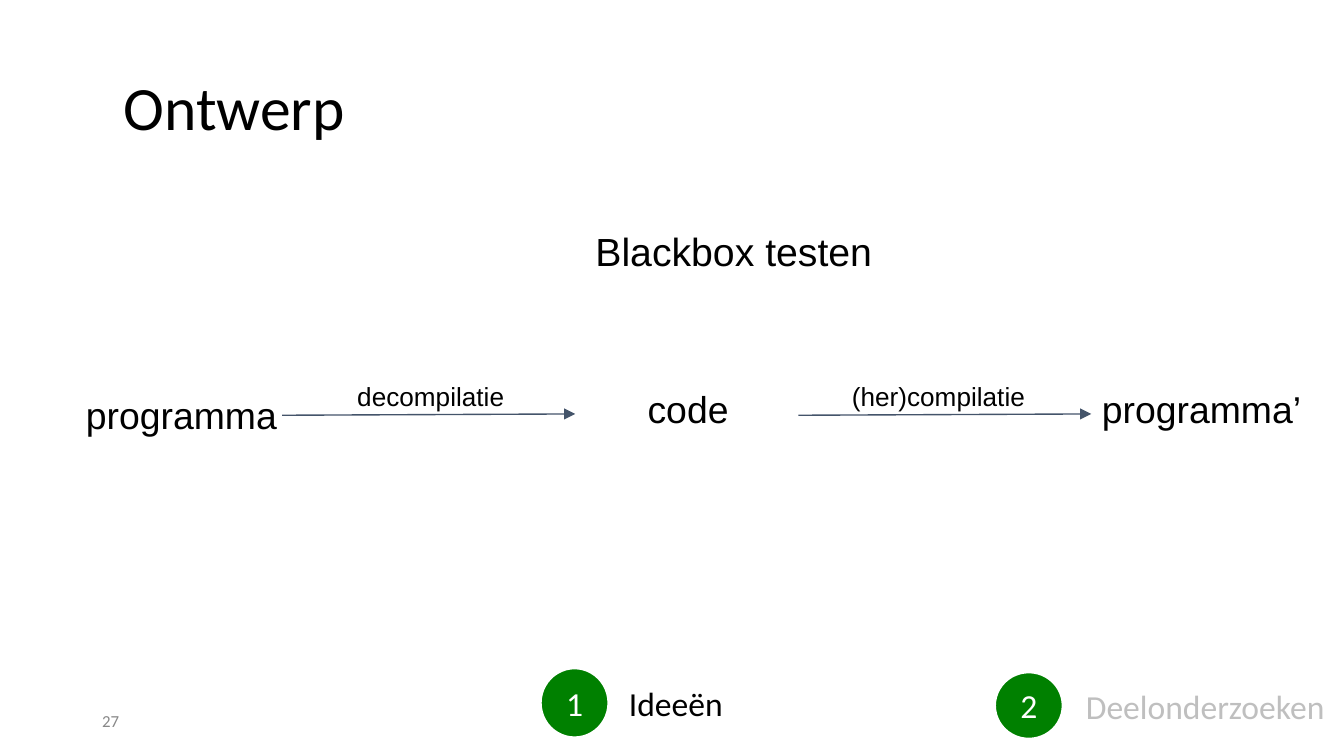
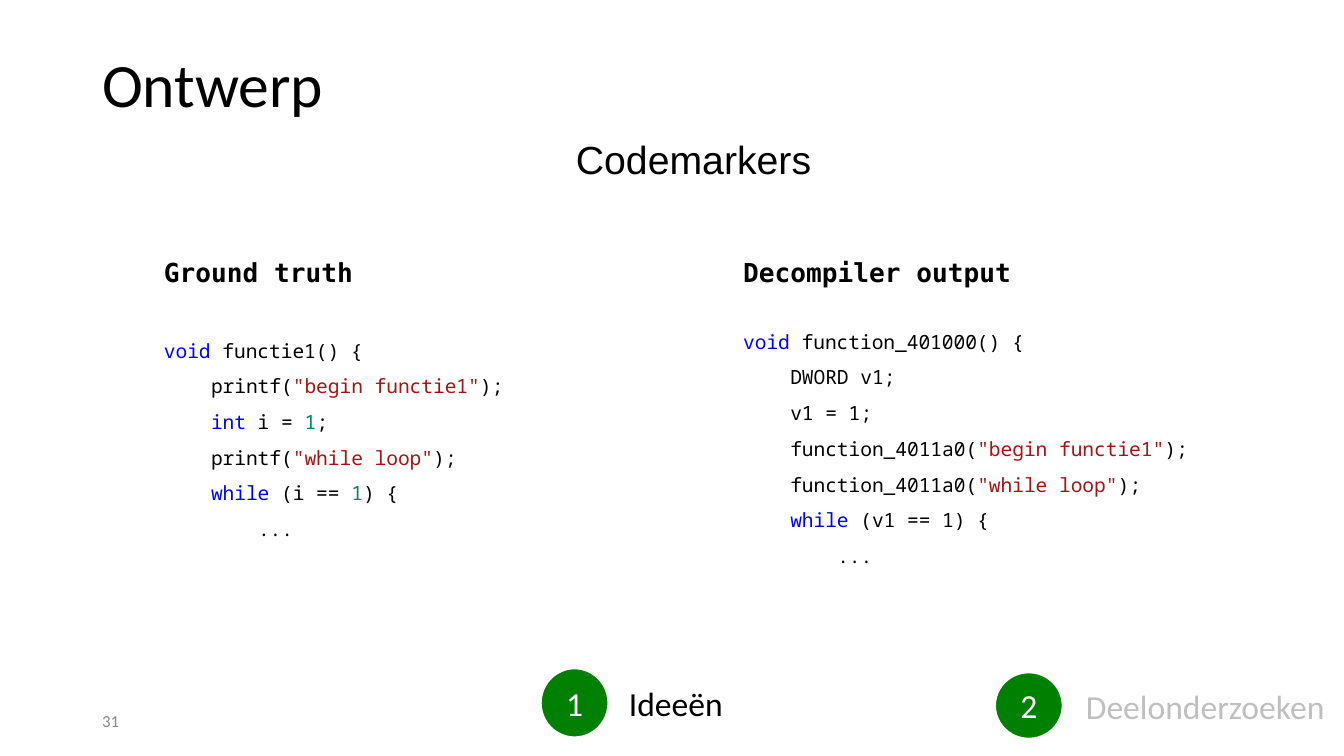
from pptx import Presentation
from pptx import util as u
from pptx.dml import color
from pptx.enum import shapes, text
from pptx.oxml import ns
from lxml import etree

BLACK, WHITE, GRAY, PALE = "000000", "FFFFFF", "888888", "BFBFBF"
GREEN, SLATE = "008000", "44546A"
WORD, QUOTE, DIGIT = "0000FF", "A31515", "098658"
SANS, HEAD = "Arial", "Calibri"
MONO, BOLD = "Noto Sans Mono", "DejaVu Sans Mono"
SLIM, WIDE = (0.07, 0.04), (0.1, 0.1)
LEFT, CENTER = text.PP_ALIGN.LEFT, text.PP_ALIGN.CENTER
TOP, MIDDLE = text.MSO_ANCHOR.TOP, text.MSO_ANCHOR.MIDDLE
TAB = 0.35

TRUTH = [
    (0, [("void", WORD), (" functie1() {", BLACK)]),
    (1, [("printf(", BLACK), ('"begin functie1"', QUOTE), (");", BLACK)]),
    (1, [("int", WORD), (" i = ", BLACK), ("1", DIGIT), (";", BLACK)]),
    (1, [("printf(", BLACK), ('"while loop"', QUOTE), (");", BLACK)]),
    (1, [("while", WORD), (" (i == ", BLACK), ("1", DIGIT), (") {", BLACK)]),
    (2, [("...", BLACK)]),
]
OUTPUT = [
    (0, [("void", WORD), (" function_401000() {", BLACK)]),
    (1, [("DWORD v1;", BLACK)]),
    (1, [("v1 = 1;", BLACK)]),
    (1, [("function_4011a0(", BLACK), ('"begin functie1"', QUOTE), (");", BLACK)]),
    (1, [("function_4011a0(", BLACK), ('"while loop"', QUOTE), (");", BLACK)]),
    (1, [("while", WORD), (" (v1 == 1) {", BLACK)]),
    (2, [("...", BLACK)]),
]


def rgb(code):
    return color.RGBColor.from_string(code)


def write(para, words, size=20, font=SANS, hue=BLACK, bold=False, align=LEFT):
    para.alignment = align
    run = para.add_run()
    run.text = words
    run.font.size = u.Pt(size)
    run.font.name = font
    run.font.bold = bold
    run.font.color.rgb = rgb(hue)


def frame(shape, inset, anchor=TOP):
    area = shape.text_frame
    area.word_wrap = True
    area.auto_size = text.MSO_AUTO_SIZE.NONE
    area.vertical_anchor = anchor
    area.margin_left = area.margin_right = u.Inches(inset[0])
    area.margin_top = area.margin_bottom = u.Inches(inset[1])
    return area.paragraphs[0]


def place(shape, box):
    shape.left, shape.top, shape.width, shape.height = map(u.Inches, box)


def label(slide, words, box, inset=WIDE, anchor=TOP, **style):
    shape = slide.shapes.add_textbox(*map(u.Inches, box))
    write(frame(shape, inset, anchor), words, **style)


def indent(para, width):
    props = para._p.get_or_add_pPr()
    props.set("marL", str(u.Inches(width)))
    props.set("indent", "0")
    return props


def title(slide, words, box):
    shape = slide.shapes.title
    place(shape, box)
    write(frame(shape, SLIM), words, size=33, font=HEAD)


def topic(slide, words, box):
    shape = slide.placeholders[1]
    place(shape, box)
    para = frame(shape, WIDE)
    para.space_before = u.Pt(0)
    write(para, words, size=21, align=CENTER)
    etree.SubElement(indent(para, 0), ns.qn("a:buNone"))


def arrow(slide, left):
    line = slide.shapes.add_connector(
        shapes.MSO_CONNECTOR.STRAIGHT,
        u.Inches(left), u.Inches(3.09), u.Inches(left + 2.18), u.Inches(3.08))
    line.line.color.rgb = rgb(SLATE)
    line.line.width = u.Pt(0.75)
    etree.SubElement(line.line._get_or_add_ln(), ns.qn("a:tailEnd"), type="triangle")
    etree.SubElement(line._element.spPr, ns.qn("a:effectLst"))


def badge(slide, words, box):
    disc = slide.shapes.add_shape(shapes.MSO_SHAPE.OVAL, *map(u.Inches, box))
    disc.shadow.inherit = False
    disc.fill.solid()
    disc.fill.fore_color.rgb = rgb(GREEN)
    disc.line.color.rgb = rgb(WHITE)
    disc.line.width = u.Pt(1.5)
    write(frame(disc, SLIM, MIDDLE), words, size=18, font=HEAD, hue=WHITE, align=CENTER)


def footer(slide, number):
    label(slide, number, (0.69, 5.21, 2.25, 0.3), SLIM, MIDDLE, size=9, font=HEAD, hue=GRAY)
    badge(slide, "1", (4.02, 4.97, 0.51, 0.52))
    label(slide, "Ideeën", (4.61, 5.04, 1.1, 0.38), SLIM, size=18, font=HEAD)
    badge(slide, "2", (7.4, 5, 0.51, 0.5))
    label(slide, "Deelonderzoeken", (8.01, 5.06, 2.14, 0.38), SLIM, size=18, font=HEAD, hue=PALE)


def listing(cell, name, lines, gap):
    para = cell.text_frame.paragraphs[0]
    para.space_after = u.Pt(gap)
    write(para, name, size=14, font=BOLD, bold=True)
    for level, parts in lines:
        para = cell.text_frame.add_paragraph()
        para.line_spacing = 1.35
        indent(para, level * TAB)
        for words, hue in parts:
            write(para, words, size=10.5, font=MONO, hue=hue)


def compare(slide):
    table = slide.shapes.add_table(2, 2, *map(u.Inches, (1.12, 1.82, 8.62, 2.01))).table
    table.first_row = table.horz_banding = False
    for row, height in zip(table.rows, (1.77, 0.24)):
        row.height = u.Inches(height)
    for cell in table.iter_cells():
        cell.fill.background()
        cell.margin_left = cell.margin_right = u.Inches(0.1)
        cell.margin_top = cell.margin_bottom = u.Inches(0.1)
    listing(table.cell(0, 0), "Ground truth", TRUTH, 21)
    listing(table.cell(0, 1), "Decompiler output", OUTPUT, 16.3)


def flow(deck):
    slide = deck.slides.add_slide(deck.slide_layouts[1])
    title(slide, "Ontwerp", (0.85, 0.47, 8.62, 0.76))
    topic(slide, "Blackbox testen", (1.18, 1.59, 8.56, 3))
    label(slide, "programma", (0.54, 2.82, 1.75, 0.54))
    label(slide, "code", (4.72, 2.77, 1, 0.5))
    label(slide, "programma’", (8.1, 2.77, 1.8, 0.5))
    for left, step, start in ((2.1, "decompilatie", 2.56), (5.94, "(her)compilatie", 6.24)):
        arrow(slide, left)
        label(slide, step, (start, 2.75, 1.83, 0.16), size=14)
    footer(slide, "27")


def markers(deck):
    slide = deck.slides.add_slide(deck.slide_layouts[1])
    title(slide, "Ontwerp", (0.69, 0.3, 8.62, 0.76))
    topic(slide, "Codemarkers", (0.88, 0.91, 8.56, 1.02))
    compare(slide)
    footer(slide, "31")


def main():
    deck = Presentation()
    deck.slide_width = u.Inches(10)
    deck.slide_height = deck.slide_width * 9 // 16
    flow(deck)
    markers(deck)
    deck.save("out.pptx")


if __name__ == "__main__":
    main()
